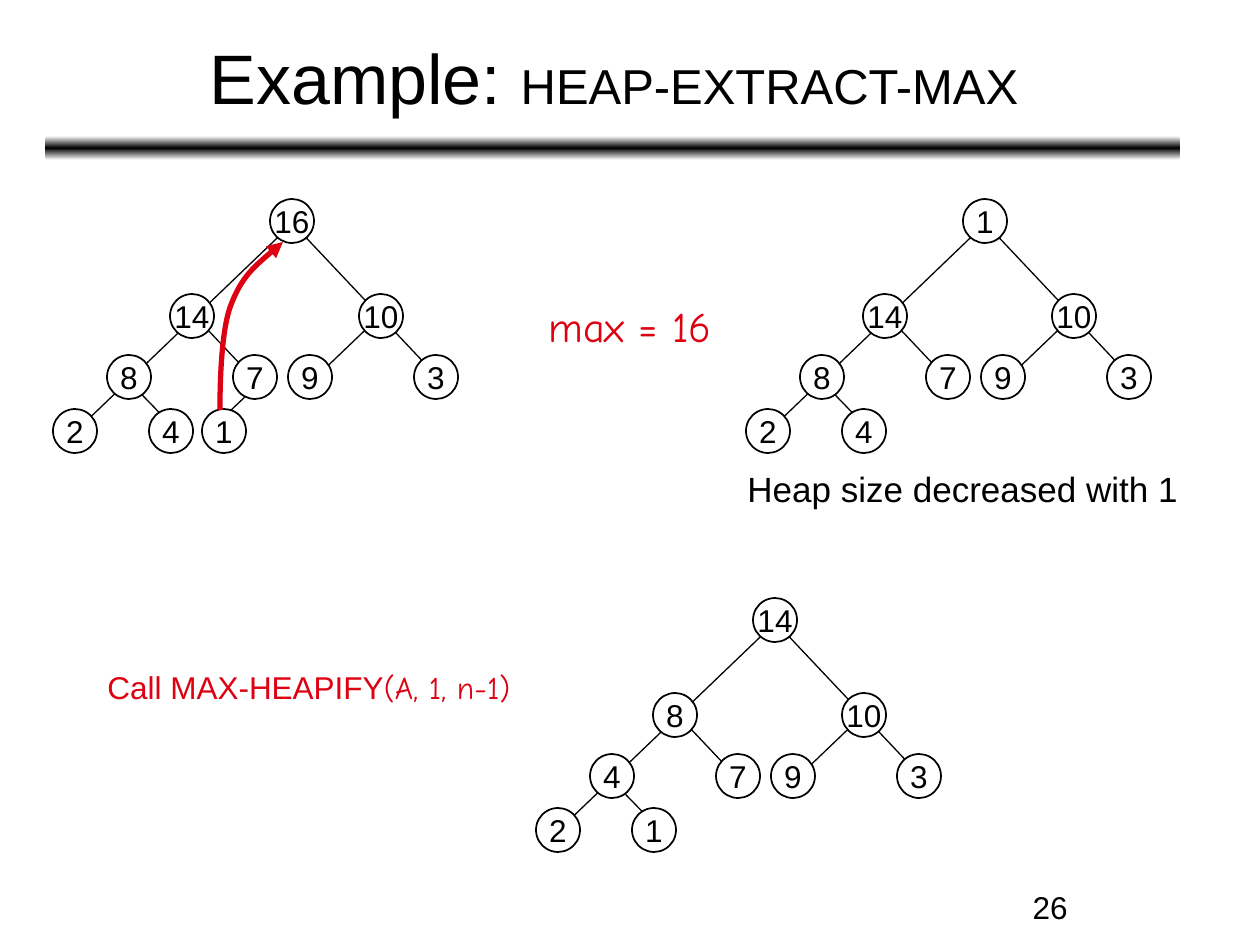
from copy import deepcopy

from lxml.etree import SubElement
from pptx import Presentation
from pptx.dml.color import RGBColor
from pptx.enum.shapes import MSO_CONNECTOR, MSO_SHAPE
from pptx.enum.text import MSO_ANCHOR, PP_ALIGN
from pptx.oxml.ns import qn
from pptx.util import Emu, Pt

PX = 7257.14  # EMU in one px: 126 px to the inch
BLACK = RGBColor(0x00, 0x00, 0x00)
WHITE = RGBColor(0xFF, 0xFF, 0xFF)
RED = RGBColor(0xDD, 0x01, 0x11)
SANS, COMIC = "Arial", "Comic Neue"

# Each text: left, top, width, height, colour, runs of (text, size, font)
TITLE = (47, 14, 1134, 125, BLACK,
         [("Example: ", 40, SANS), ("HEAP-EXTRACT-MAX", 28, SANS)])
PAGE_NUMBER = (903, 882, 294, 44, BLACK, [("26", 18, SANS)])
NOTES = [
    (536, 294, 188, 63, RED, [("max = 16", 24, COMIC)]),
    (735, 461, 456, 55, BLACK, [("Heap size decreased with 1", 20, SANS)]),
    (95, 662, 428, 50, RED,
     [("Call MAX-HEAPIFY", 18, SANS), ("(A, 1, n-1)", 18, COMIC)]),
]

# Each heap: left, top, keys in array order
HEAPS = [
    (53, 199, [16, 14, 10, 8, 7, 9, 3, 2, 4, 1]),
    (746, 199, [1, 14, 10, 8, 7, 9, 3, 2, 4]),
    (536, 598, [14, 8, 10, 4, 7, 9, 3, 2, 1]),
]
NODE_SIZE = 44
NODE_PLACES = [(217, 0), (117, 95), (306, 95),
               (54, 156), (180, 156), (235, 156), (361, 156),
               (0, 210), (96, 210), (149, 210)]
# The outer edges run from the root to a leaf behind the nodes between
EDGES = [(258, 183, 329, 115), (130, 238, 62, 168), (204, 183, 137, 112),
         (394, 188, 227, 11), (23, 232, 243, 21)]
LAST_NODE_EDGE = (156, 232, 213, 178)

# Start point, then three Bezier points for each curve
MOVE_ARROW = [(283, 242), (262, 260), (242, 276), (231, 305),
              (220, 333), (220, 397), (220, 410)]


def px(*lengths):
    return [Emu(round(length * PX)) for length in lengths]


def add_text(page, left, top, width, height, colour, runs,
             align=PP_ALIGN.LEFT, anchor=MSO_ANCHOR.TOP, wrap=False):
    box = page.shapes.add_textbox(*px(left, top, width, height))
    frame = box.text_frame
    frame.word_wrap = wrap
    frame.vertical_anchor = anchor
    paragraph = frame.paragraphs[0]
    paragraph.alignment = align
    paragraph.font.color.rgb = colour
    for text, size, font in runs:
        span = paragraph.add_run()
        span.text = text
        span.font.size = Pt(size)
        span.font.name = font
        span.font.color.rgb = colour


def add_title_bar(page):
    bar = page.shapes.add_shape(MSO_SHAPE.ROUNDED_RECTANGLE, *px(45, 136, 1135, 24))
    bar.shadow.inherit = False
    bar.line.fill.background()
    bar.fill.gradient()
    bar.fill.gradient_angle = 90
    stop_list = bar.fill._fill._gradFill.find(qn("a:gsLst"))
    stop_list.append(deepcopy(stop_list[0]))
    for stop, position, colour in zip(bar.fill.gradient_stops, (0, 0.5, 1),
                                      (WHITE, BLACK, WHITE)):
        stop.position = position
        stop.color.rgb = colour


def add_node(group, left, top, key):
    node = group.shapes.add_shape(MSO_SHAPE.OVAL, *px(left, top, NODE_SIZE, NODE_SIZE))
    node.shadow.inherit = False
    node.fill.solid()
    node.fill.fore_color.rgb = WHITE
    node.line.color.rgb = BLACK
    node.line.width = Pt(1)
    frame = node.text_frame
    frame.word_wrap = False
    frame.vertical_anchor = MSO_ANCHOR.MIDDLE
    paragraph = frame.paragraphs[0]
    paragraph.text = str(key)
    paragraph.alignment = PP_ALIGN.CENTER
    paragraph.font.size = Pt(18)
    paragraph.font.name = SANS
    paragraph.font.color.rgb = BLACK


def add_heap(page, left, top, keys):
    group = page.shapes.add_group_shape()
    edges = EDGES + [LAST_NODE_EDGE] * (len(keys) == len(NODE_PLACES))
    for x1, y1, x2, y2 in edges:
        edge = group.shapes.add_connector(
            MSO_CONNECTOR.STRAIGHT, *px(left + x1, top + y1, left + x2, top + y2))
        edge.line.color.rgb = BLACK
        edge.line.width = Pt(0.75)
        SubElement(edge._element.spPr, qn("a:effectLst"))
    for (x, y), key in zip(NODE_PLACES, keys):
        add_node(group, left + x, top + y, key)


def add_move_arrow(page, points):
    """Draw a Bezier curve with an arrowhead at its first point."""
    builder = page.shapes.build_freeform(*points[0], scale=PX)
    builder.add_line_segments(points[1:], close=False)
    arrow = builder.convert_to_shape()
    arrow.shadow.inherit = False
    arrow.fill.background()
    arrow.line.color.rgb = RED
    arrow.line.width = Pt(3)
    SubElement(arrow.line._get_or_add_ln(), qn("a:headEnd"), type="triangle")

    segments = list(arrow._element.iter(qn("a:lnTo")))
    outline = segments[0].getparent()
    for start in range(0, len(segments), 3):
        curve = SubElement(outline, qn("a:cubicBezTo"))
        for segment in segments[start:start + 3]:
            curve.append(segment[0])
            outline.remove(segment)


def main():
    deck = Presentation()
    deck.slide_width, deck.slide_height = px(1260, 945)
    page = deck.slides.add_slide(deck.slide_layouts[6])
    add_title_bar(page)
    add_text(page, *TITLE, align=PP_ALIGN.CENTER, anchor=MSO_ANCHOR.MIDDLE, wrap=True)
    for heap in HEAPS:
        add_heap(page, *heap)
    add_move_arrow(page, MOVE_ARROW)
    for note in NOTES:
        add_text(page, *note)
    add_text(page, *PAGE_NUMBER, align=PP_ALIGN.CENTER, wrap=True)
    deck.save("out.pptx")


if __name__ == "__main__":
    main()
